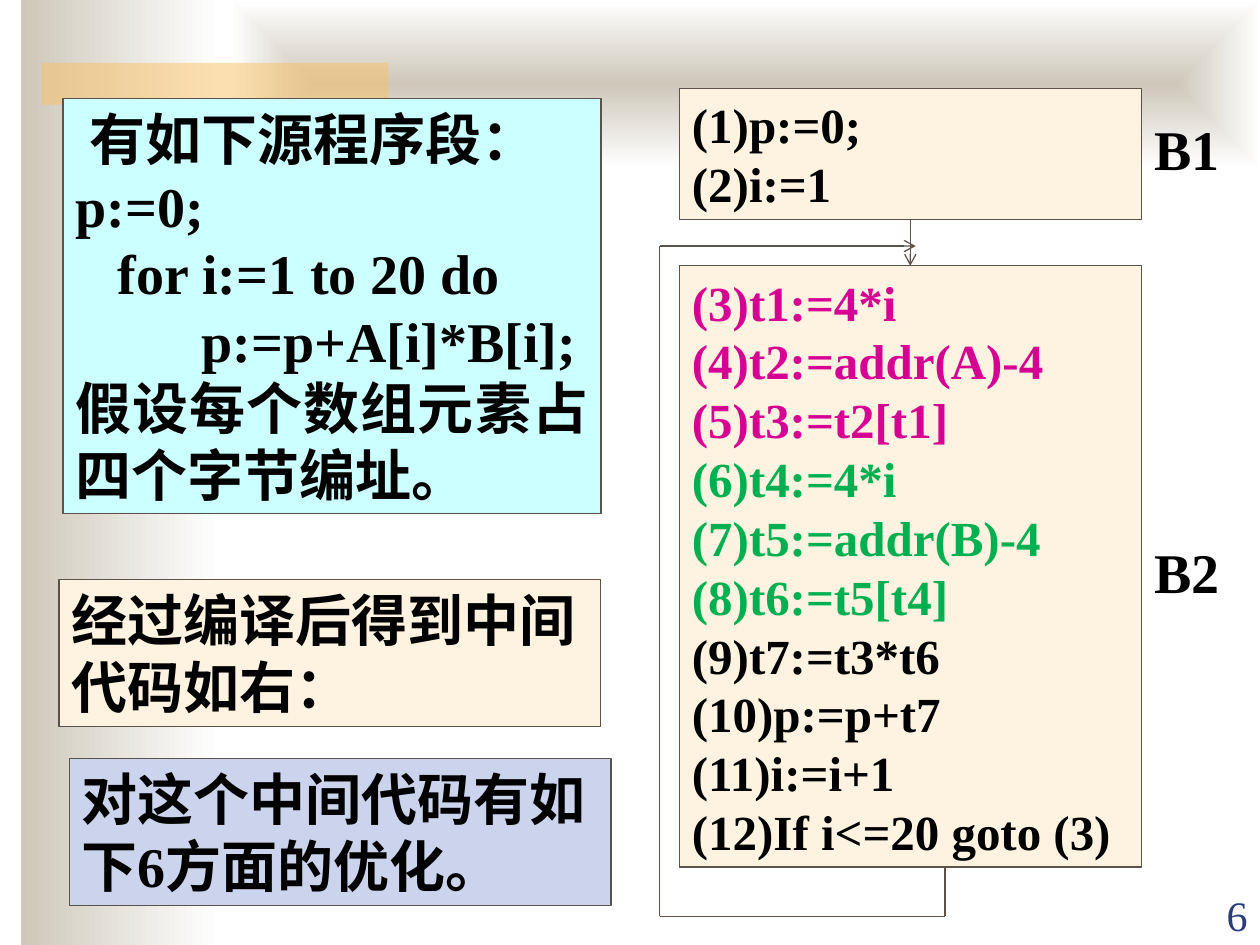
from lxml import etree
from pptx import Presentation
from pptx.dml.color import RGBColor
from pptx.enum.shapes import MSO_CONNECTOR, MSO_SHAPE
from pptx.enum.text import MSO_ANCHOR, MSO_AUTO_SIZE, PP_ALIGN
from pptx.oxml import parse_xml
from pptx.oxml.ns import nsdecls, qn
from pptx.util import Cm, Pt

RECTANGLE = MSO_SHAPE.RECTANGLE
STRAIGHT = MSO_CONNECTOR.STRAIGHT
LEFT, RIGHT, JUSTIFY = PP_ALIGN.LEFT, PP_ALIGN.RIGHT, PP_ALIGN.JUSTIFY
TOP, BOTTOM = MSO_ANCHOR.TOP, MSO_ANCHOR.BOTTOM
FIT_TEXT = MSO_AUTO_SIZE.SHAPE_TO_FIT_TEXT

FONT = "Times New Roman"
BLACK = RGBColor(0x00, 0x00, 0x00)
WHITE = RGBColor(0xFF, 0xFF, 0xFF)
STONE = RGBColor(0xCE, 0xC8, 0xBA)
AMBER = RGBColor(0xFA, 0xC1, 0x64)
NAVY = RGBColor(0x2A, 0x3D, 0x7A)
BROWN = RGBColor(0x5B, 0x52, 0x49)
CYAN = RGBColor(0xCC, 0xFF, 0xFF)
CREAM = RGBColor(0xFE, 0xF3, 0xE0)
LAVENDER = RGBColor(0xCC, 0xD4, 0xED)
MAGENTA = RGBColor(0xD6, 0x00, 0x93)
GREEN = RGBColor(0x00, 0xB0, 0x50)

prs = Presentation()
prs.slide_width, prs.slide_height = Cm(25.4), Cm(19.05)
slide = prs.slides.add_slide(prs.slide_layouts[6])
shapes = slide.shapes


def add_panel(place, lines, size=32, bold=True, fill=None, align=LEFT, anchor=TOP):
    """Add a text box; each line is (text, colour, left indent in cm)."""
    box = shapes.add_textbox(*(Cm(v) for v in place))
    if fill is not None:
        box.fill.solid()
        box.fill.fore_color.rgb = fill
        box.line.color.rgb = BROWN
        box.line.width = Pt(0.75)
    frame = box.text_frame
    frame.word_wrap = True
    frame.vertical_anchor = anchor
    if anchor == TOP:
        frame.auto_size = FIT_TEXT
    for number, (text, color, indent) in enumerate(lines):
        paragraph = frame.paragraphs[0] if number == 0 else frame.add_paragraph()
        paragraph.alignment = align
        if indent:
            paragraph._p.get_or_add_pPr().set("marL", str(Cm(indent)))
        run = paragraph.add_run()
        run.text = text
        run.font.name = FONT
        run.font.size = Pt(size)
        run.font.bold = bold
        run.font.color.rgb = color


def add_flow_line(start, end, arrow=False):
    line = shapes.add_connector(STRAIGHT, *(Cm(v) for v in start + end))
    line.line.color.rgb = BROWN
    line.line.width = Pt(0.75)
    if arrow:
        etree.SubElement(line.line._get_or_add_ln(), qn("a:tailEnd"), type="arrow")
    etree.SubElement(line._element.spPr, qn("a:effectLst"))


# Background bands
side_band, top_band, accent = [
    shapes.add_shape(RECTANGLE, *(Cm(v) for v in place))
    for place in ((0.43, 0, 4.01, 19.05), (4.65, 0, 20.75, 3.38), (0.84, 1.27, 6.99, 0.84))
]
for band in (side_band, top_band, accent):
    band.shadow.inherit = False
    band.line.fill.background()
for band, colors in ((side_band, (WHITE, STONE)), (top_band, (STONE, WHITE))):
    band.fill.gradient()
    band.fill.gradient_angle = 180
    for stop, color, position in zip(band.fill.gradient_stops, colors, (0, 1)):
        stop.color.rgb = color
        stop.position = position

linear = top_band._element.spPr.find(".//" + qn("a:lin"))
linear.getparent().replace(linear, parse_xml(
    f'<a:path {nsdecls("a")} path="rect">'
    '<a:fillToRect l="50000" t="50000" r="50000" b="50000"/></a:path>'))

accent.fill.solid()
accent.fill.fore_color.rgb = AMBER
accent_color = accent._element.spPr.find(".//" + qn("a:srgbClr"))
etree.SubElement(accent_color, qn("a:alpha"), val="50000")

# Slide number
add_panel((22.86, 17.81, 2.54, 1.27), [("6", NAVY, 0)],
          size=24, bold=False, align=RIGHT, anchor=BOTTOM)

# Source program and explanations
source_program = [
    ("有如下源程序段：", BLACK, 0.28),
    ("p:=0;", BLACK, 0),
    ("for i:=1 to 20 do", BLACK, 0.85),
    ("p:=p+A[i]*B[i];", BLACK, 2.54),
    ("假设每个数组元素占四个字节编址。", BLACK, 0),
]
add_panel((1.27, 1.98, 10.85, 8.38), source_program, fill=CYAN, align=JUSTIFY)
add_panel((1.19, 11.68, 10.92, 2.97),
          [("经过编译后得到中间代码如右：", BLACK, 0)], fill=CREAM)

# Basic blocks of intermediate code
block_1 = [(code, BLACK, 0) for code in ("(1)p:=0;", "(2)i:=1")]
block_2 = [(code, color, 0) for color, codes in (
    (MAGENTA, ("(3)t1:=4*i", "(4)t2:=addr(A)-4", "(5)t3:=t2[t1]")),
    (GREEN, ("(6)t4:=4*i", "(7)t5:=addr(B)-4", "(8)t6:=t5[t4]")),
    (BLACK, ("(9)t7:=t3*t6", "(10)p:=p+t7", "(11)i:=i+1", "(12)If i<=20 goto (3)")),
) for code in codes]
add_panel((13.7, 1.78, 9.32, 2.64), block_1, size=28, fill=CREAM)
add_panel((13.7, 5.36, 9.32, 12.12), block_2, size=28, fill=CREAM)

# Entry into B2 and the loop back to its start
add_flow_line((18.35, 4.43), (18.35, 5.36), arrow=True)
add_flow_line((13.3, 4.96), (18.46, 4.96), arrow=True)
loop_corners = [(13.3, 4.96), (13.3, 18.47), (19.05, 18.47), (19.05, 17.48)]
for start, end in zip(loop_corners, loop_corners[1:]):
    add_flow_line(start, end)

for label, top in (("B1", 2.18), ("B2", 10.72)):
    add_panel((23.02, top, 2.77, 1.63), [(label, BLACK, 0)])

add_panel((1.4, 15.29, 10.92, 2.97),
          [("对这个中间代码有如下6方面的优化。", BLACK, 0)], fill=LAVENDER)

prs.save("out.pptx")
